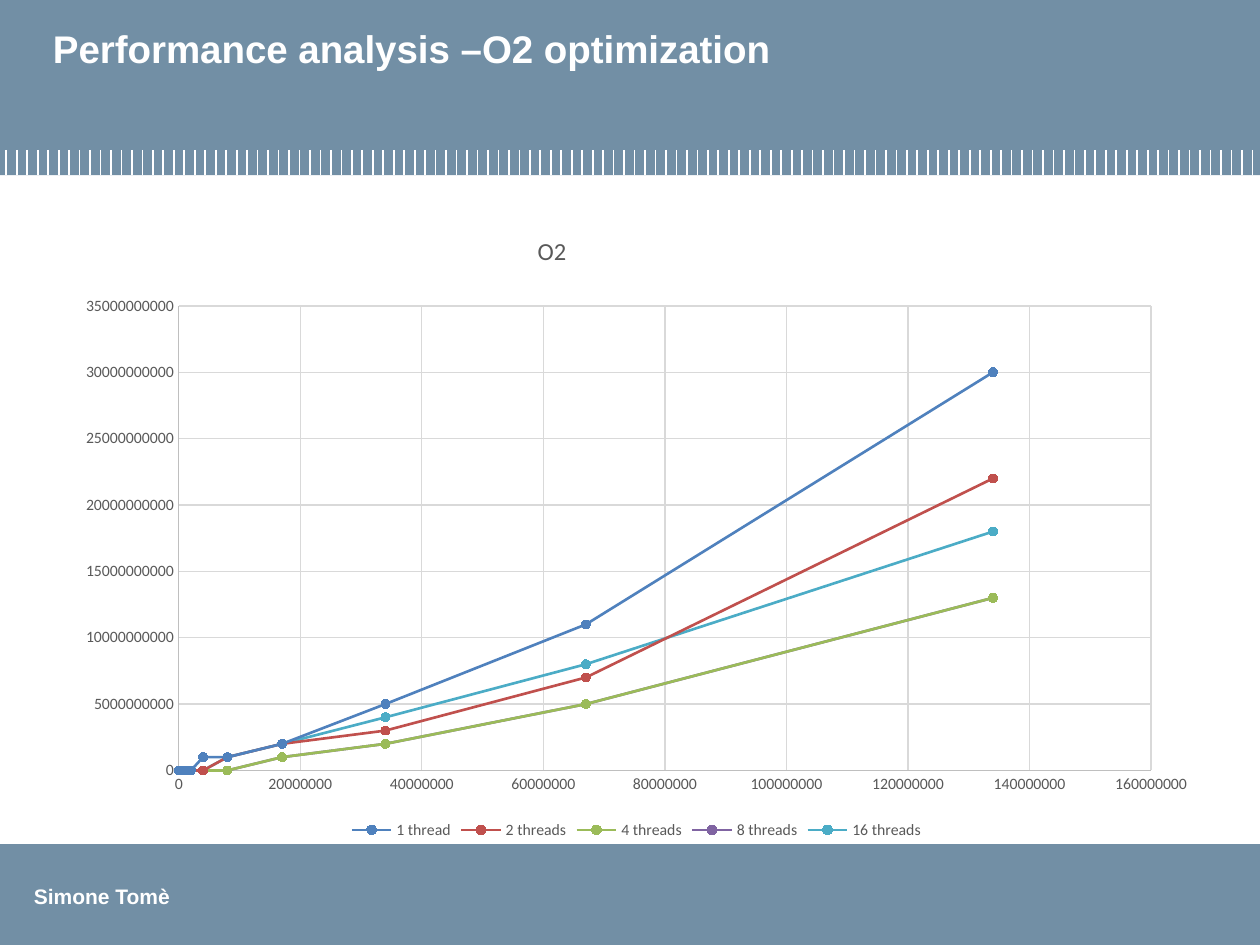
"""Build the O2 performance slide with its scatter chart of thread timings."""
from dataclasses import dataclass

from lxml import etree
from pptx import Presentation
from pptx.chart.data import XyChartData
from pptx.dml.color import RGBColor
from pptx.enum.chart import XL_CHART_TYPE, XL_LEGEND_POSITION, XL_MARKER_STYLE, XL_TICK_MARK
from pptx.enum.shapes import MSO_CONNECTOR, MSO_SHAPE
from pptx.enum.text import MSO_ANCHOR, MSO_AUTO_SIZE, PP_ALIGN
from pptx.oxml.ns import qn
from pptx.util import Inches, Pt

RECTANGLE = MSO_SHAPE.RECTANGLE
STRAIGHT = MSO_CONNECTOR.STRAIGHT
FIT_SHAPE = MSO_AUTO_SIZE.SHAPE_TO_FIT_TEXT
SCATTER = XL_CHART_TYPE.XY_SCATTER_LINES
CIRCLE = XL_MARKER_STYLE.CIRCLE
NO_TICK = XL_TICK_MARK.NONE
BOTTOM = XL_LEGEND_POSITION.BOTTOM
TOP = MSO_ANCHOR.TOP
LEFT = PP_ALIGN.LEFT

BAND_COLOR, WHITE, CHART_TEXT = "728FA5", "FFFFFF", "595959"
AXIS_COLOR, GRID_COLOR = "BFBFBF", "D9D9D9"
TICK_COUNT, FIRST_TICK, LAST_TICK = 120, 0.05, 9.94
MILLION, BILLION = 10**6, 10**9
SIZES = (0, 1, 1, 2, 4, 8, 17, 34, 67, 134)


@dataclass
class ThreadSeries:
    """Timings in billions for one thread count."""
    name: str
    color: str
    timings: tuple[int, ...]


THREAD_SERIES = (
    ThreadSeries("1 thread", "4F81BD", (0, 0, 0, 0, 1, 1, 2, 5, 11, 30)),
    ThreadSeries("2 threads", "C0504D", (0, 0, 0, 0, 0, 1, 2, 3, 7, 22)),
    ThreadSeries("4 threads", "9BBB59", (0, 0, 0, 0, 0, 0, 1, 2, 5, 13)),
    ThreadSeries("8 threads", "8064A2", (0, 0, 0, 0, 0, 0, 1, 2, 5, 13)),
    ThreadSeries("16 threads", "4BACC6", (0, 0, 0, 0, 0, 1, 2, 4, 8, 18)),
)


def rgb(color: str) -> RGBColor:
    """Return the colour of a hex string."""
    return RGBColor.from_string(color)


def style_font(font, name: str, size: float, color: str, bold: bool = False) -> None:
    """Set the face, size, colour and weight of a font."""
    font.name, font.size, font.bold = name, Pt(size), bold
    font.color.rgb = rgb(color)


def style_line(line, color: str, width: float) -> None:
    """Set the colour and width of a line."""
    line.color.rgb = rgb(color)
    line.width = Pt(width)


def add_band(slide, top: float, height: float) -> None:
    """Add a full-width coloured band."""
    band = slide.shapes.add_shape(RECTANGLE, 0, Inches(top), Inches(10), Inches(height))
    band.shadow.inherit = False
    band.fill.solid()
    band.fill.fore_color.rgb = rgb(BAND_COLOR)
    band.line.fill.background()


def add_ticks(slide) -> None:
    """Add the grouped row of evenly spaced white ticks."""
    group = slide.shapes.add_group_shape()
    step = (LAST_TICK - FIRST_TICK) / (TICK_COUNT - 1)
    for index in range(TICK_COUNT):
        left = Inches(FIRST_TICK + index * step)
        tick = group.shapes.add_connector(STRAIGHT, left, Inches(1.19), left, Inches(1.39))
        style_line(tick.line, WHITE, 1)
        etree.SubElement(tick.element.spPr, qn("a:effectLst"))


def add_author(slide) -> None:
    """Add the author's name to the bottom band."""
    box = slide.shapes.add_textbox(Inches(0.17), Inches(6.96), Inches(1.29), Inches(0.3))
    frame = box.text_frame
    frame.word_wrap = False
    frame.auto_size = FIT_SHAPE
    frame.text = "Simone Tomè"
    style_font(frame.paragraphs[0].font, "Arial", 12, WHITE, True)


def format_title(slide) -> None:
    """Fill the title and bring it in front of the band."""
    title = slide.shapes.title
    title.left, title.top = Inches(0.32), Inches(0.15)
    title.width, title.height = Inches(9.38), Inches(0.92)
    frame = title.text_frame
    frame.text = "Performance analysis –O2 optimization"
    frame.vertical_anchor = TOP
    paragraph = frame.paragraphs[0]
    paragraph.alignment = LEFT
    style_font(paragraph.font, "Arial", 22, WHITE, True)
    title.element.getparent().append(title.element)


def set_layout(parent, position: int, **settings: str | float) -> None:
    """Give a chart part a manual layout as fractions of the chart."""
    for previous in parent.findall(qn("c:layout")):
        parent.remove(previous)
    layout = etree.Element(qn("c:layout"))
    manual = etree.SubElement(layout, qn("c:manualLayout"))
    for name, value in settings.items():
        etree.SubElement(manual, qn(f"c:{name}")).set("val", str(value))
    parent.insert(position, layout)


def format_axis(axis, maximum: int, unit: int) -> None:
    """Set the scale, labels, line and grid of an axis."""
    axis.minimum_scale, axis.maximum_scale, axis.major_unit = 0, maximum, unit
    axis.major_tick_mark = axis.minor_tick_mark = NO_TICK
    axis.has_major_gridlines = True
    style_font(axis.tick_labels.font, "Calibri", 9, CHART_TEXT)
    style_line(axis.format.line, AXIS_COLOR, 0.75)
    style_line(axis.major_gridlines.format.line, GRID_COLOR, 0.75)


def add_timing_chart(slide) -> None:
    """Add the scatter chart of timing against problem size."""
    data = XyChartData()
    for thread_series in THREAD_SERIES:
        points = data.add_series(thread_series.name)
        for size, timing in zip(SIZES, thread_series.timings):
            points.add_data_point(size * MILLION, timing * BILLION)
    chart = slide.shapes.add_chart(
        SCATTER, Inches(0.5), Inches(1.75), Inches(9.1), Inches(4.95), data
    ).chart
    style_font(chart.font, "Calibri", 10, "000000")
    chart.plots[0].vary_by_categories = False

    chart.has_title = True
    title_frame = chart.chart_title.text_frame
    title_frame.text = "O2"
    style_font(title_frame.paragraphs[0].font, "Calibri", 14, CHART_TEXT)
    chart.chart_title.include_in_layout = False
    set_layout(chart.chart_title.element, 1, xMode="edge", yMode="edge", x=0.41, y=0.015)
    plot_area = chart.element.find(".//" + qn("c:plotArea"))
    set_layout(plot_area, 0, layoutTarget="inner", xMode="edge", yMode="edge",
               x=0.101, y=0.137, w=0.848, h=0.745)

    format_axis(chart.category_axis, 160 * MILLION, 20 * MILLION)
    format_axis(chart.value_axis, 35 * BILLION, 5 * BILLION)
    chart.has_legend = True
    chart.legend.position = BOTTOM
    chart.legend.include_in_layout = False
    style_font(chart.legend.font, "Calibri", 9, CHART_TEXT)

    for series, thread_series in zip(chart.plots[0].series, THREAD_SERIES):
        series.smooth = False
        style_line(series.format.line, thread_series.color, 1.5)
        series.marker.style, series.marker.size = CIRCLE, 5
        series.marker.format.fill.solid()
        series.marker.format.fill.fore_color.rgb = rgb(thread_series.color)
        style_line(series.marker.format.line, thread_series.color, 0.75)


def main() -> None:
    """Build and save the presentation."""
    presentation = Presentation()
    presentation.slide_width, presentation.slide_height = Inches(10), Inches(7.5)
    slide = presentation.slides.add_slide(presentation.slide_layouts[5])
    add_band(slide, 0, 1.39)
    add_band(slide, 6.7, 0.8)
    add_author(slide)
    add_ticks(slide)
    format_title(slide)
    add_timing_chart(slide)
    presentation.save("out.pptx")


if __name__ == "__main__":
    main()
